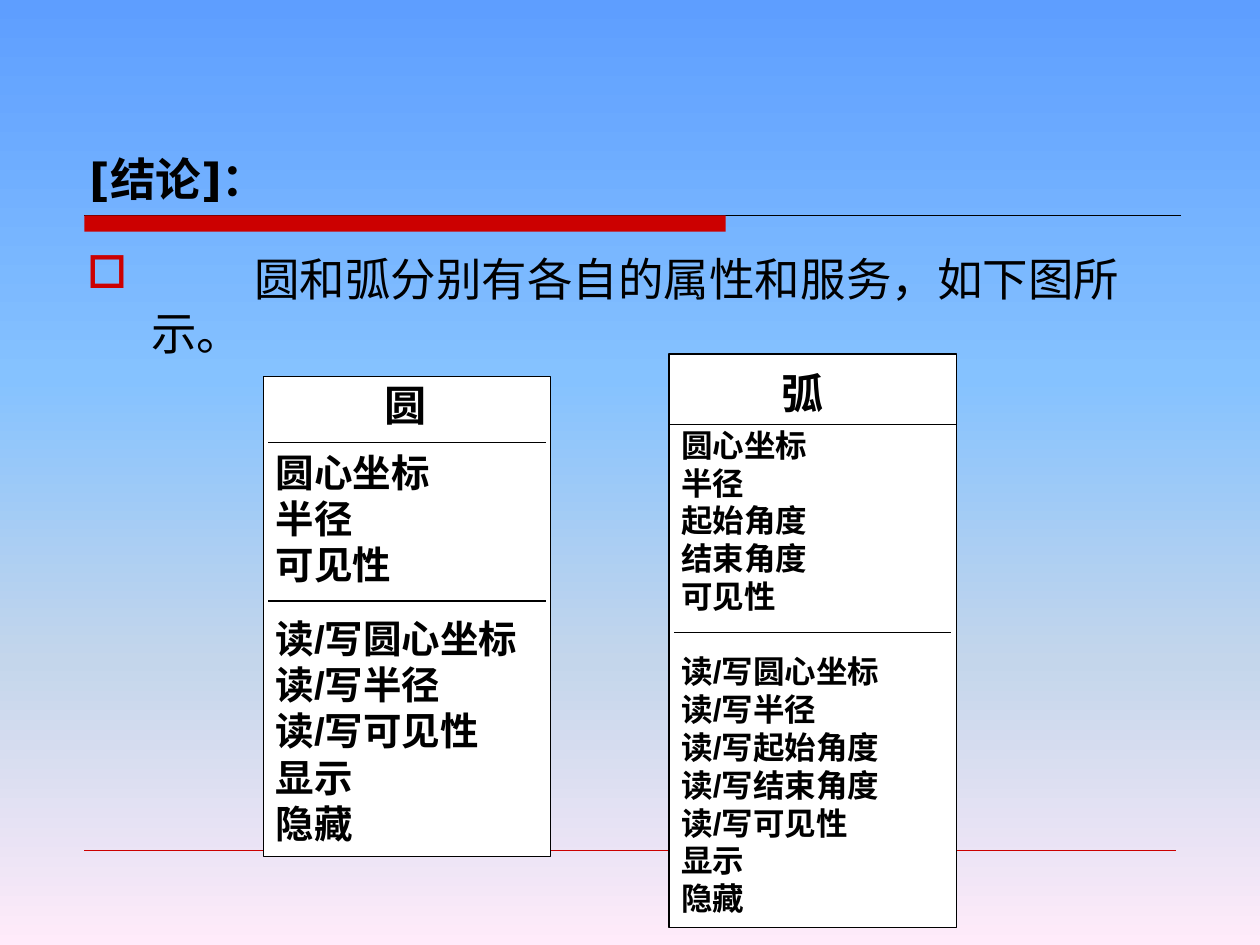
"""Build a slide comparing the attributes and services of a circle and an arc."""
from lxml import etree
from pptx import Presentation
from pptx import util as u
from pptx.dml.color import RGBColor
from pptx.enum import shapes, text
from pptx.oxml import parse_xml
from pptx.oxml.ns import nsdecls, qn

HUE = {"ink": "000000", "red": "CC0000", "paper": "FFFFFF"}
SKY = [(0, "5E9EFF"), (40, "85C2FF"), (70, "C4D6EB"), (100, "FFEBFA")]
TITLE = "[结论]："
BODY = "\t圆和弧分别有各自的属性和服务，如下图所示。"
CARDS = [
    {"name": "圆", "box": (2.09, 2.99, 2.28, 3.81), "head": (2.95, 2.96),
     "size": 22, "gap": 16, "rules": [(3.51, 0.04), (4.77, 0.04)],
     "attrs": ["圆心坐标", "半径", "可见性"],
     "ops": ["读/写圆心坐标", "读/写半径", "读/写可见性", "显示", "隐藏"]},
    {"name": "弧", "box": (5.31, 2.81, 2.28, 4.55), "head": (6.1, 2.87),
     "size": 18, "gap": 21.5, "rules": [(3.37, 0), (5.02, 0.04)],
     "attrs": ["圆心坐标", "半径", "起始角度", "结束角度", "可见性"],
     "ops": ["读/写圆心坐标", "读/写半径", "读/写起始角度", "读/写结束角度",
             "读/写可见性", "显示", "隐藏"]},
]


def tint(name):
    return RGBColor.from_string(HUE[name])


def paint_sky(slide):
    stops = "".join(f'<a:gs pos="{p * 1000}"><a:srgbClr val="{c}"/></a:gs>' for p, c in SKY)
    slide.background.fill.solid()
    prop = slide._element.cSld.find(qn("p:bg")).find(qn("p:bgPr"))
    prop.replace(prop[0], parse_xml(
        f'<a:gradFill {nsdecls("a")} rotWithShape="1"><a:gsLst>{stops}</a:gsLst>'
        '<a:lin ang="5400000" scaled="0"/></a:gradFill>'))


def add_rule(pool, left, right, y, hue="ink", width=0.75):
    rule = pool.add_connector(shapes.MSO_CONNECTOR.STRAIGHT,
                              *map(u.Inches, (left, y, right, y)))
    rule.line.color.rgb = tint(hue)
    rule.line.width = u.Pt(width)
    etree.SubElement(rule._element.spPr, qn("a:effectLst"))


def add_box(pool, box, fill, line=None):
    shape = pool.add_shape(shapes.MSO_SHAPE.RECTANGLE, *map(u.Inches, box))
    shape.shadow.inherit = False
    shape.fill.solid()
    shape.fill.fore_color.rgb = tint(fill)
    if line:
        shape.line.color.rgb = tint(line)
        shape.line.width = u.Pt(0.75)
    else:
        shape.line.fill.background()
    return shape


def write(shape, lines, size, font="Arial", bold=True, **frame):
    area = shape.text_frame
    for key, val in {"word_wrap": True, "vertical_anchor": text.MSO_ANCHOR.TOP, **frame}.items():
        setattr(area, key, val)
    for i, line in enumerate(lines):
        para = area.add_paragraph() if i else area.paragraphs[0]
        para.alignment = text.PP_ALIGN.LEFT
        run = para.add_run()
        run.text = line
        style = {"size": u.Pt(size), "name": font, "bold": bold}
        for key, val in style.items():
            setattr(run.font, key, val)
        run.font.color.rgb = tint("ink")
    return area.paragraphs


def add_text(pool, box, *args, **style):
    return write(pool.add_textbox(*map(u.Inches, box)), *args, **style)


def add_bullet(para):
    prop = para._p.get_or_add_pPr()
    prop.set("marL", str(u.Inches(0.51)))
    prop.set("indent", str(u.Inches(-0.51)))
    for tag, attrs in [("buClr", {}), ("buFont", {"typeface": "Wingdings"}),
                       ("buChar", {"char": "o"}), ("tabLst", {})]:
        etree.SubElement(prop, qn(f"a:{tag}"), attrs)
    etree.SubElement(prop.find(qn("a:buClr")), qn("a:srgbClr"), val=HUE["red"])
    etree.SubElement(prop.find(qn("a:tabLst")), qn("a:tab"),
                     pos=str(u.Inches(1.33)), algn="l")


def add_card(slide, card):
    pool = slide.shapes.add_group_shape().shapes
    left, _, width, _ = card["box"]
    shape = add_box(pool, card["box"], "paper", "ink")
    paras = write(shape, card["attrs"] + card["ops"], card["size"],
                  margin_top=u.Inches(0.57))
    paras[len(card["attrs"])].space_before = u.Pt(card["gap"])
    for y, inset in card["rules"]:
        add_rule(pool, left + inset, left + width - inset, y)
    add_text(pool, (*card["head"], 0.55, 0.5), [card["name"]], 24)


def main():
    deck = Presentation()
    deck.slide_width, deck.slide_height = u.Inches(10), u.Inches(7.5)
    slide = deck.slides.add_slide(deck.slide_layouts[6])
    paint_sky(slide)
    pool = slide.shapes
    add_rule(pool, 0.67, 9.37, 1.71, width=0.5)
    add_box(pool, (0.67, 1.71, 5.09, 0.13), "red")
    add_rule(pool, 0.67, 9.33, 6.75, "red", 0.25)
    add_text(pool, (0.61, 0.6, 8.5, 1.08), [TITLE], 26, "DejaVu Sans",
             vertical_anchor=text.MSO_ANCHOR.BOTTOM)
    add_bullet(add_text(pool, (0.59, 1.94, 8.75, 1), [BODY], 26, "DejaVu Sans", False)[0])
    for card in CARDS:
        add_card(slide, card)
    deck.save("out.pptx")


if __name__ == "__main__":
    main()
